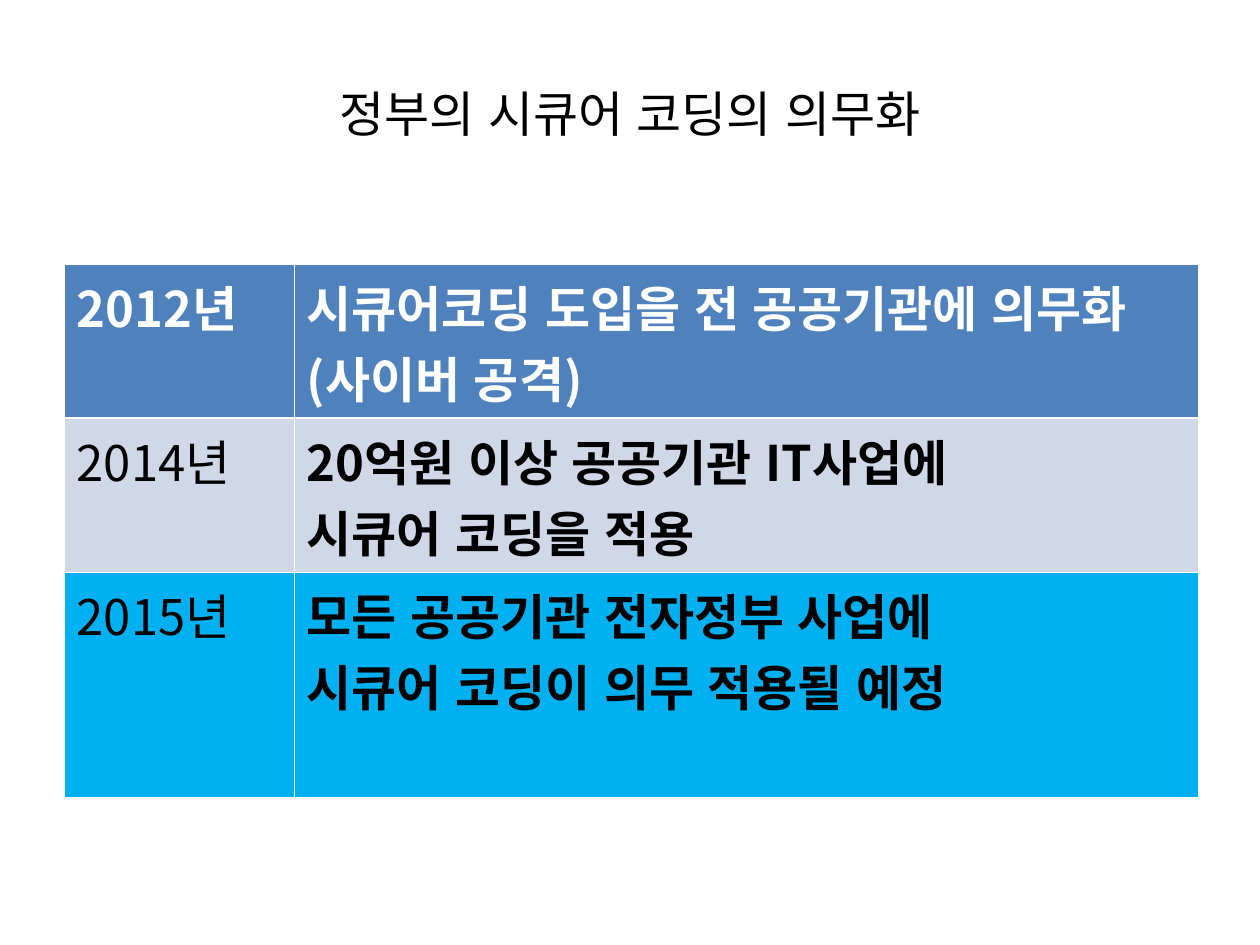
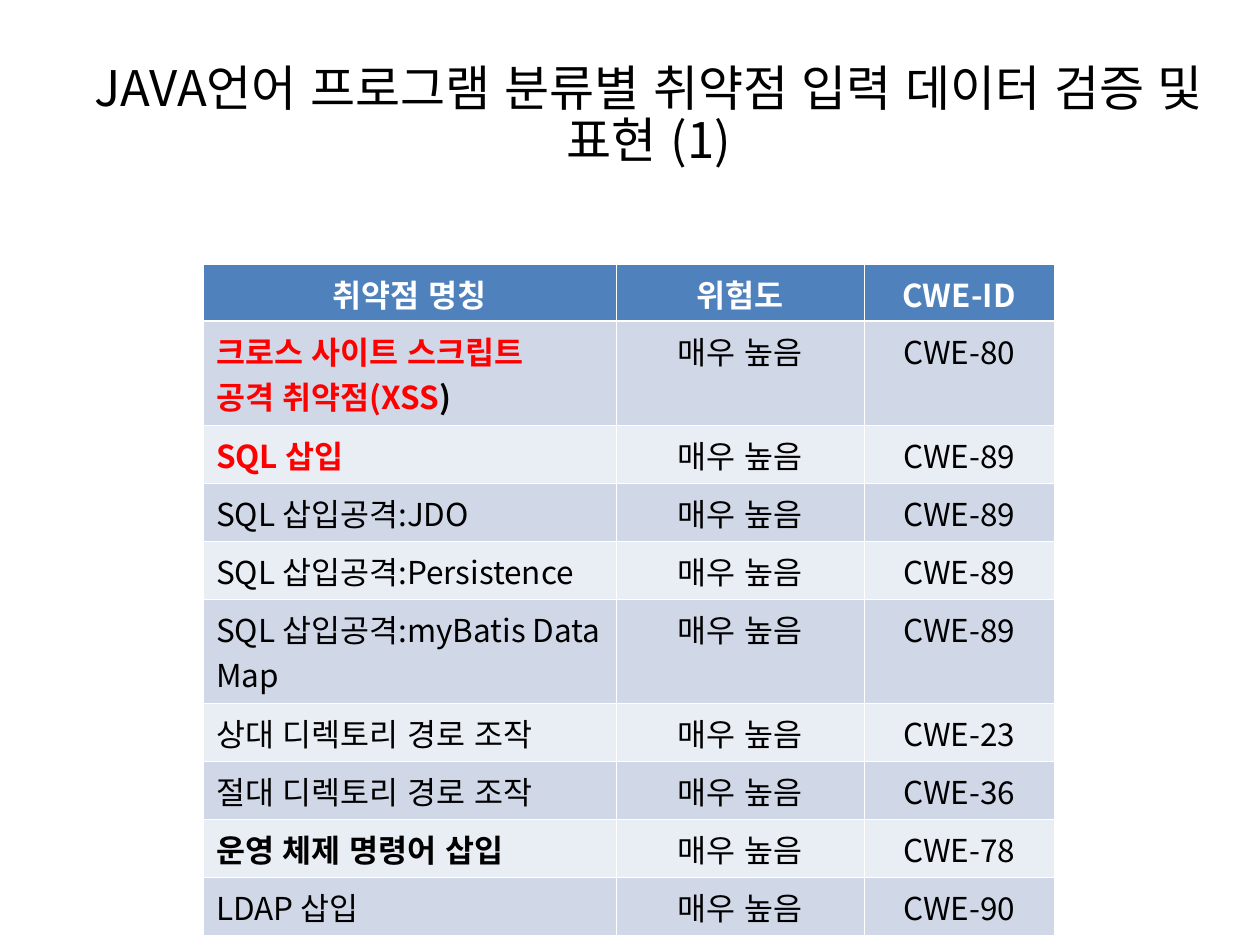
from dataclasses import dataclass

from lxml.etree import SubElement
from pptx import Presentation
from pptx.dml.color import RGBColor
from pptx.enum.text import MSO_ANCHOR, PP_ALIGN
from pptx.oxml.ns import qn
from pptx.util import Inches, Pt

FONT = "Noto Sans CJK KR"
BLACK = RGBColor(0x00, 0x00, 0x00)
WHITE = RGBColor(0xFF, 0xFF, 0xFF)
RED = RGBColor(0xFF, 0x00, 0x00)
HEADER_BLUE = RGBColor(0x4F, 0x81, 0xBD)
SKY_BLUE = RGBColor(0x00, 0xB0, 0xF0)
BAND_DARK = RGBColor(0xD0, 0xD8, 0xE8)
BAND_LIGHT = RGBColor(0xE9, 0xED, 0xF4)

COLUMNS, ROWS = 100, 75  # grid over the whole slide
TABLE_TOP = 21
THIN, THICK = 0.45, 1.47


@dataclass
class Entry:
    """Cell text: one paragraph a line, with an optional black ending."""
    text: str
    color: RGBColor = BLACK
    bold: bool = False
    black_end: str = ""


class Deck:
    def __init__(self):
        self.deck = Presentation()
        self.deck.slide_width, self.deck.slide_height = Inches(10), Inches(7.5)
        self.page = None

    def x(self, columns):
        return round(self.deck.slide_width * columns / COLUMNS)

    def y(self, rows):
        return round(self.deck.slide_height * rows / ROWS)

    def add_page(self):
        self.page = self.deck.slides.add_slide(self.deck.slide_layouts[6])

    def style(self, para, size, color, bold=False, align=PP_ALIGN.LEFT):
        para.alignment = align
        font = para.font
        font.name, font.size, font.bold = FONT, Pt(size), bold
        font.color.rgb = color
        # Korean text without pair kerning
        defaults = para._p.pPr.find(qn("a:defRPr"))
        defaults.set("lang", "ko-KR")
        defaults.set("kern", "0")
        SubElement(defaults, qn("a:ea"), typeface=FONT)

    def title(self, text, width=90):
        box = self.page.shapes.add_textbox(self.x(5), self.y(3), self.x(width), self.y(12.5))
        frame = box.text_frame
        frame.word_wrap = True
        frame.vertical_anchor = MSO_ANCHOR.MIDDLE
        para = frame.paragraphs[0]
        para.text = text
        para.line_spacing = 0.9
        self.style(para, 28, BLACK, align=PP_ALIGN.CENTER)

    def borders(self, cell, top, bottom):
        properties = cell._tc.get_or_add_tcPr()
        widths = {"lnL": THIN, "lnR": THIN, "lnT": top, "lnB": bottom}
        for index, (side, width) in enumerate(widths.items()):
            line = SubElement(properties, qn(f"a:{side}"), w=str(Pt(width)))
            fill = SubElement(line, qn("a:solidFill"))
            SubElement(fill, qn("a:srgbClr"), val=str(WHITE))
            properties.insert(index, line)

    def fill_cell(self, cell, entry, size, align):
        frame = cell.text_frame
        frame.text = entry.text
        for para in frame.paragraphs:
            self.style(para, size, entry.color, entry.bold, align)
        if entry.black_end:
            span = frame.paragraphs[-1].add_run()
            span.text = entry.black_end
            span.font.color.rgb = BLACK

    def table(self, left, widths, heights, entries, fills, size, aligns):
        frame = self.page.shapes.add_table(
            len(heights), len(widths), self.x(left), self.y(TABLE_TOP),
            self.x(sum(widths)), self.y(sum(heights)))
        table = frame.table
        for column, width in zip(table.columns, widths):
            column.width = self.x(width)
        for number, (row, height) in enumerate(zip(table.rows, heights)):
            row.height = self.y(height)
            for cell, entry, align in zip(row.cells, entries[number], aligns(number)):
                cell.fill.solid()
                cell.fill.fore_color.rgb = fills[number]
                self.borders(cell, THICK if number == 1 else THIN,
                             THICK if number == 0 else THIN)
                self.fill_cell(cell, entry, size, align)


def header(*names):
    return [Entry(name, WHITE, True) for name in names]


def mandate_page(deck):
    deck.add_page()
    deck.title("정부의 시큐어 코딩의 의무화")
    entries = [
        header("2012년", "시큐어코딩 도입을 전 공공기관에 의무화 (사이버 공격)"),
        [Entry("2014년"),
         Entry("20억원 이상 공공기관 IT사업에\n시큐어 코딩을 적용", bold=True)],
        [Entry("2015년"),
         Entry("모든 공공기관 전자정부 사업에\n시큐어 코딩이 의무 적용될 예정", bold=True)],
    ]
    deck.table(5.1, [18.25, 71.75], [12.2, 12.25, 17.8], entries,
               [HEADER_BLUE, BAND_DARK, SKY_BLUE], 28,
               lambda row: [PP_ALIGN.LEFT] * 2)


def weakness_page(deck):
    deck.add_page()
    deck.title("JAVA언어 프로그램 분류별 취약점 입력 데이터 검증 및 표현 (1)", width=93)
    weaknesses = [
        (Entry("크로스 사이트 스크립트\n공격 취약점(XSS", RED, True, ")"), 80),
        (Entry("SQL 삽입", RED, True), 89),
        (Entry("SQL 삽입공격:JDO"), 89),
        (Entry("SQL 삽입공격:Persistence"), 89),
        (Entry("SQL 삽입공격:myBatis Data Map"), 89),
        (Entry("상대 디렉토리 경로 조작"), 23),
        (Entry("절대 디렉토리 경로 조작"), 36),
        (Entry("운영 체제 명령어 삽입", bold=True), 78),
        (Entry("LDAP 삽입"), 90),
    ]
    entries = [header("취약점 명칭", "위험도", "CWE-ID")]
    entries += [[name, Entry("매우 높음"), Entry(f"CWE-{number}")]
                for name, number in weaknesses]
    two_line_rows = (1, 5)
    heights = [8.25 if row in two_line_rows else 4.61 for row in range(len(entries))]
    heights[0] = 4.5
    bands = [BAND_LIGHT if row % 2 else BAND_DARK for row in range(len(weaknesses))]
    deck.table(16.15, [32.75, 19.7, 15.05], heights, entries, [HEADER_BLUE] + bands, 18,
               lambda row: [PP_ALIGN.LEFT if row else PP_ALIGN.CENTER]
               + [PP_ALIGN.CENTER] * 2)


def main():
    deck = Deck()
    mandate_page(deck)
    weakness_page(deck)
    deck.deck.save("out.pptx")


if __name__ == "__main__":
    main()
